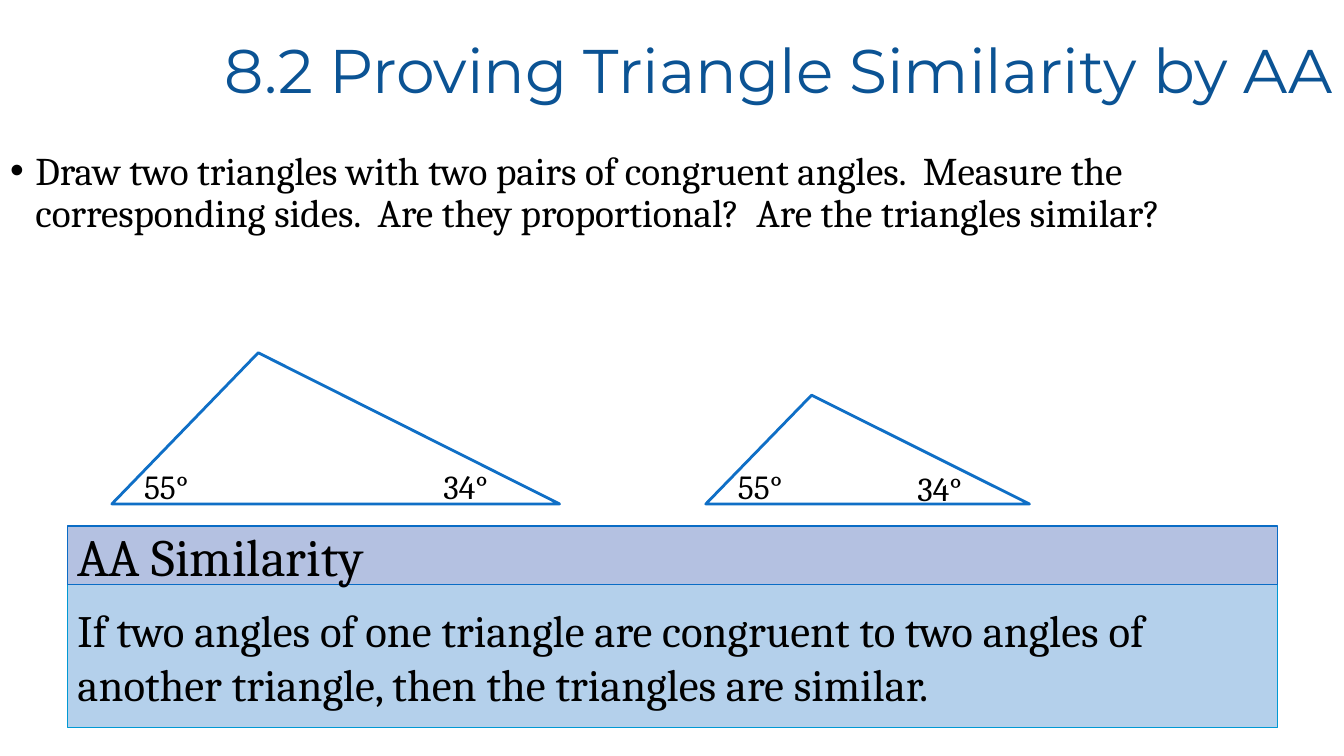
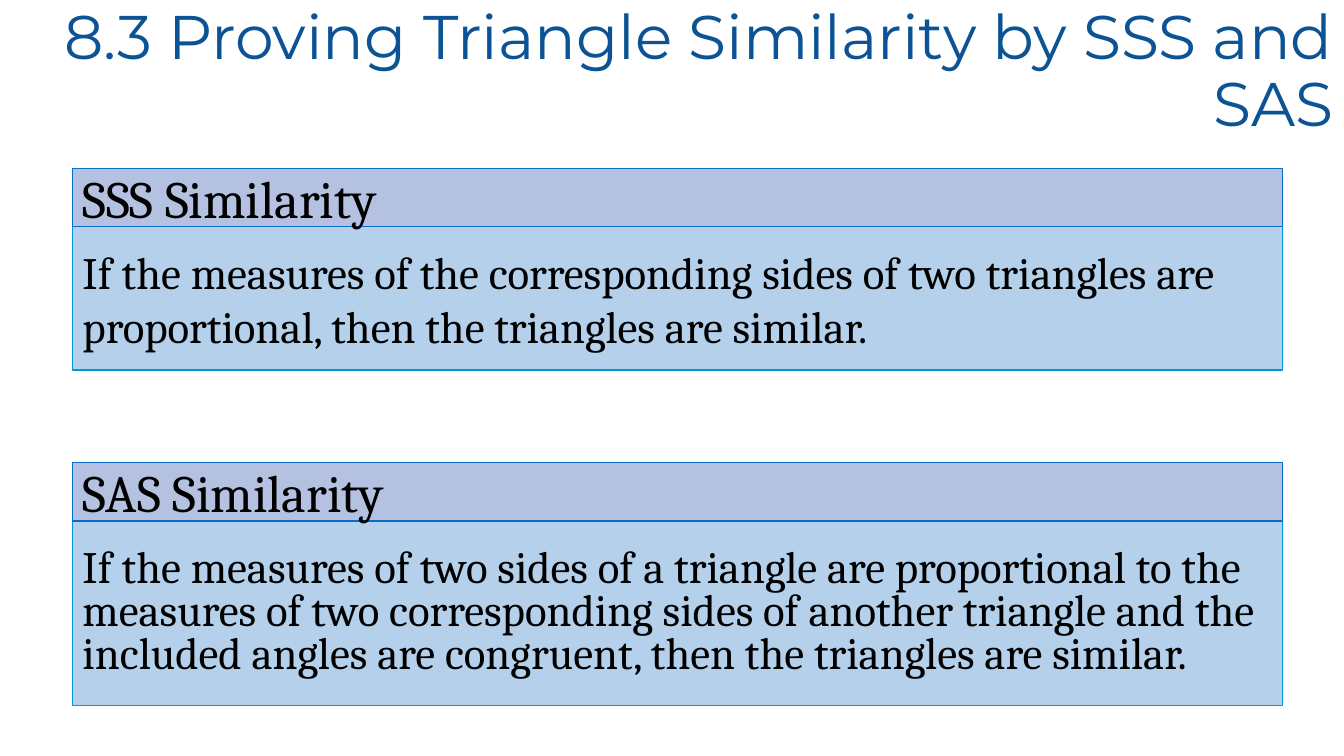
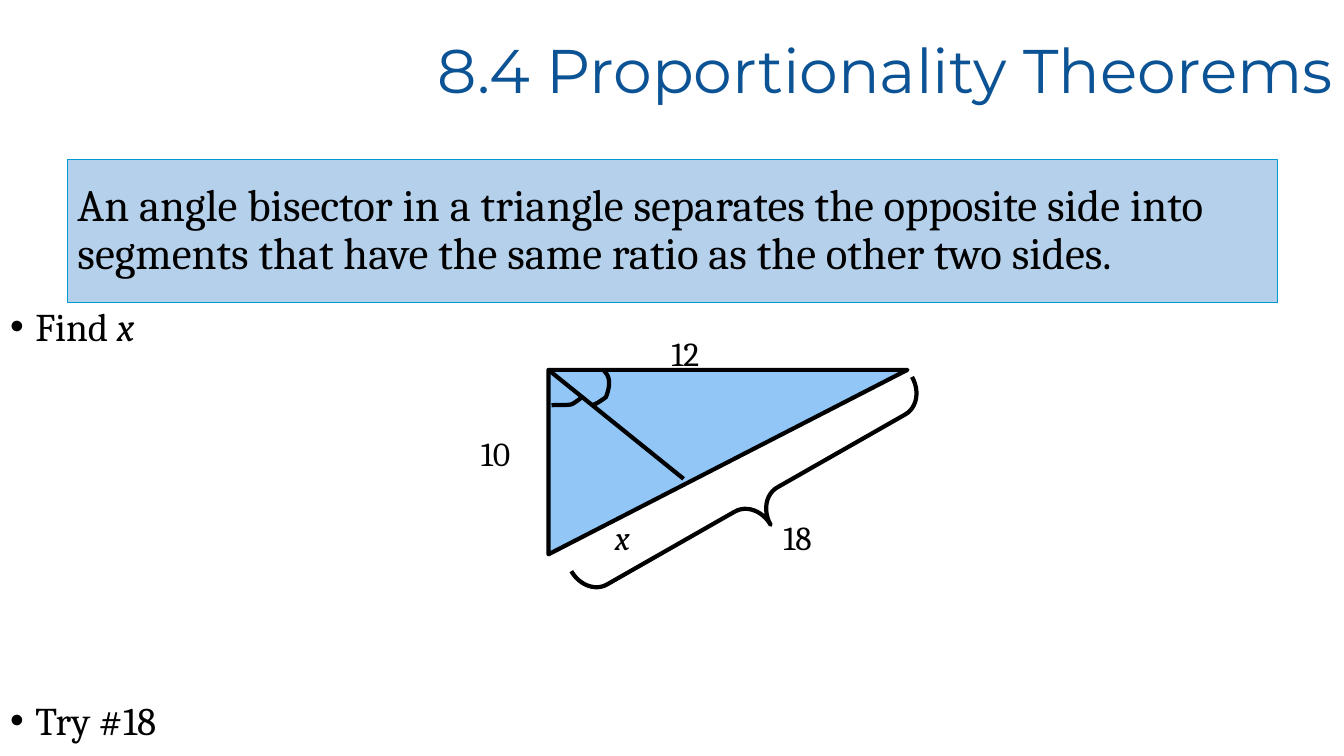
from lxml import etree
from pptx import Presentation
from pptx.dml.color import RGBColor
from pptx.enum.shapes import MSO_CONNECTOR, MSO_SHAPE
from pptx.enum.text import MSO_ANCHOR, MSO_AUTO_SIZE, PP_ALIGN
from pptx.oxml.ns import qn
from pptx.util import Inches, Pt

RECT = MSO_SHAPE.RECTANGLE
TRIANGLE = MSO_SHAPE.ISOSCELES_TRIANGLE
RIGHT_TRIANGLE = MSO_SHAPE.RIGHT_TRIANGLE
BRACE = MSO_SHAPE.RIGHT_BRACE
STRAIGHT = MSO_CONNECTOR.STRAIGHT
MIDDLE, TOP = MSO_ANCHOR.MIDDLE, MSO_ANCHOR.TOP
LEFT, RIGHT = PP_ALIGN.LEFT, PP_ALIGN.RIGHT
NO_FIT = MSO_AUTO_SIZE.NONE

COLORS = {
    "title": "0B5394",
    "text": "000000",
    "ink": "000000",
    "outline": "0F6FC6",
    "head_fill": "B4C1E1",
    "head_line": "0A6CC5",
    "rule_fill": "B4D0EB",
    "rule_line": "0099D4",
    "triangle_fill": "91C6F7",
}
TITLE_FONT, BODY_FONT = "Montserrat", "Cambria"
WIDTH, HEIGHT = 13.33, 7.5
TITLE_HEIGHT = 1.45
PANEL_WIDTH, HEAD_HEIGHT = 12, 0.58
CURVE_STEPS = 12
TITLE_AND_BODY, TITLE_ONLY = 1, 5


def rgb(name):
    return RGBColor.from_string(COLORS[name])


def bezier(p0, p1, p2, p3):
    points = []
    for i in range(1, CURVE_STEPS + 1):
        t = i / CURVE_STEPS
        u = 1 - t
        points.append(tuple(
            Inches(u**3 * a + 3 * u * u * t * b + 3 * u * t * t * c + t**3 * d)
            for a, b, c, d in zip(p0, p1, p2, p3)))
    return points


class Deck:
    def __init__(self):
        self.prs = Presentation()
        self.prs.slide_width = Inches(WIDTH)
        self.prs.slide_height = Inches(HEIGHT)
        self.s = None

    def place(self, sp, left, top, width, height):
        sp.left, sp.top = Inches(left), Inches(top)
        sp.width, sp.height = Inches(width), Inches(height)

    def run(self, p, text, size, color="text", font=BODY_FONT, italic=False):
        r = p.add_run()
        r.text = text
        r.font.size = Pt(size)
        r.font.name = font
        r.font.italic = italic
        r.font.color.rgb = rgb(color)

    def frame(self, sp, anchor):
        tf = sp.text_frame
        tf.word_wrap = True
        tf.auto_size = NO_FIT
        tf.vertical_anchor = anchor
        return tf

    def slide(self, title, layout):
        self.s = self.prs.slides.add_slide(self.prs.slide_layouts[layout])
        sp = self.s.shapes.title
        self.place(sp, 0, 0, WIDTH, TITLE_HEIGHT)
        p = self.frame(sp, MIDDLE).paragraphs[0]
        p.alignment = RIGHT
        p.line_spacing = 0.9
        self.run(p, title, 44, "title", TITLE_FONT)

    def bullets(self, top, height, items):
        sp = self.s.placeholders[1]
        self.place(sp, 0, top, WIDTH, height)
        tf = self.frame(sp, TOP)
        for i, (space, runs) in enumerate(items):
            p = tf.add_paragraph() if i else tf.paragraphs[0]
            pPr = p._p.get_or_add_pPr()
            pPr.set("marL", str(Inches(0.25)))
            pPr.set("indent", str(-Inches(0.25)))
            clr = etree.SubElement(pPr, qn("a:buClr"))
            etree.SubElement(clr, qn("a:srgbClr"), val=COLORS["text"])
            etree.SubElement(pPr, qn("a:buChar"), char="•")
            p.line_spacing = 0.9
            p.space_before = Pt(space)
            for text, italic in runs:
                self.run(p, text, 28, italic=italic)

    def style(self, sp, line, weight, fill=None):
        sp.shadow.inherit = False
        if fill:
            sp.fill.solid()
            sp.fill.fore_color.rgb = rgb(fill)
        else:
            sp.fill.background()
        sp.line.color.rgb = rgb(line)
        sp.line.width = Pt(weight)

    def shape(self, kind, box, line, weight, fill=None):
        sp = self.s.shapes.add_shape(kind, *(Inches(v) for v in box))
        self.style(sp, line, weight, fill)
        return sp

    def box(self, box, text, size, fill, line, spacing):
        sp = self.shape(RECT, box, line, 1, fill)
        p = self.frame(sp, MIDDLE).paragraphs[0]
        p.alignment = LEFT
        p.line_spacing = spacing
        self.run(p, text, size)

    def theorem(self, left, top, height, text, heading=None, spacing=1.0):
        self.box((left, top, PANEL_WIDTH, height), text, 32,
                 "rule_fill", "rule_line", spacing)
        if heading:
            self.box((left, top - HEAD_HEIGHT, PANEL_WIDTH, HEAD_HEIGHT),
                     heading, 37.4, "head_fill", "head_line", 1.0)

    def label(self, left, top, width, text, italic=False):
        sp = self.s.shapes.add_textbox(
            Inches(left), Inches(top), Inches(width), Inches(0.5))
        self.run(self.frame(sp, TOP).paragraphs[0], text, 24, italic=italic)

    def line(self, x1, y1, x2, y2):
        c = self.s.shapes.add_connector(
            STRAIGHT, *(Inches(v) for v in (x1, y1, x2, y2)))
        c.line.color.rgb = rgb("ink")
        c.line.width = Pt(3)
        etree.SubElement(c._element.spPr, qn("a:effectLst"))

    def curve(self, start, *segments):
        fb = self.s.shapes.build_freeform(*(Inches(v) for v in start))
        for c1, c2, end in segments:
            fb.add_line_segments(bezier(start, c1, c2, end), close=False)
            start = end
        self.style(fb.convert_to_shape(), "ink", 3)


def aa_slide(deck):
    deck.slide("8.2 Proving Triangle Similarity by AA", TITLE_AND_BODY)
    deck.bullets(TITLE_HEIGHT, 5.65, [
        (0, [("Draw two triangles with two pairs of congruent angles.  Measure the "
              "corresponding sides.  Are they proportional?  Are the triangles "
              "similar?", False)])])
    deck.theorem(0.67, 5.8, 1.42,
                 "If two angles of one triangle are congruent to two angles of "
                 "another triangle, then the triangles are similar.",
                 "AA Similarity")
    for box in ((1.11, 3.5, 4.44, 1.5), (7, 3.92, 3.21, 1.08)):
        sp = deck.shape(TRIANGLE, box, "outline", 2)
        sp.adjustments[0] = 0.327
    for left, top, text in ((1.33, 4.57, "55°"), (7.22, 4.57, "55°"),
                            (4.3, 4.57, "34°"), (9, 4.59, "34°")):
        deck.label(left, top, 0.89, text)


def sss_sas_slide(deck):
    deck.slide("8.3 Proving Triangle Similarity by SSS and SAS", TITLE_ONLY)
    deck.theorem(0.72, 2.25, 1.42,
                 "If the measures of the corresponding sides of two triangles are "
                 "proportional, then the triangles are similar.",
                 "SSS Similarity")
    deck.theorem(0.72, 5.17, 1.83,
                 "If the measures of two sides of a triangle are proportional to the "
                 "measures of two corresponding sides of another triangle and the "
                 "included angles are congruent, then the triangles are similar.",
                 "SAS Similarity", 0.8)


def bisector_slide(deck):
    deck.slide("8.4 Proportionality Theorems", TITLE_AND_BODY)
    deck.bullets(3, 4.5, [(0, [("Find ", False), ("x", True)]),
                          (251, [("Try #18", False)])])
    triangle = deck.shape(RIGHT_TRIANGLE, (5.44, 3.67, 3.56, 1.83),
                          "ink", 3, "triangle_fill")
    triangle._element.spPr.find(qn("a:xfrm")).set("flipV", "1")
    for left, top, text in ((4.67, 4.25, "10"), (6, 5.08, "x"),
                            (6.56, 3.25, "12"), (7.67, 5.08, "18")):
        deck.label(left, top, 1.11, text, italic=text == "x")
    brace = deck.shape(BRACE, (7.21, 3.01, 0.58, 3.89), "ink", 3)
    brace.adjustments[0] = 0.417
    brace.rotation = 60.3
    deck.line(5.44, 3.67, 6.78, 4.75)
    deck.curve((5.47, 4.02), ((5.69, 4.01), (5.64, 4.04), (5.76, 3.95)))
    deck.curve((5.87, 4.02),
               ((5.92, 4.01), (6.01, 3.94), (6.01, 3.94)),
               ((6.04, 3.86), (6.07, 3.75), (5.99, 3.68)))
    deck.theorem(0.67, 1.58, 1.42,
                 "An angle bisector in a triangle separates the opposite side into "
                 "segments that have the same ratio as the other two sides.",
                 spacing=0.9)


def main():
    deck = Deck()
    aa_slide(deck)
    sss_sas_slide(deck)
    bisector_slide(deck)
    deck.prs.save("out.pptx")


if __name__ == "__main__":
    main()
